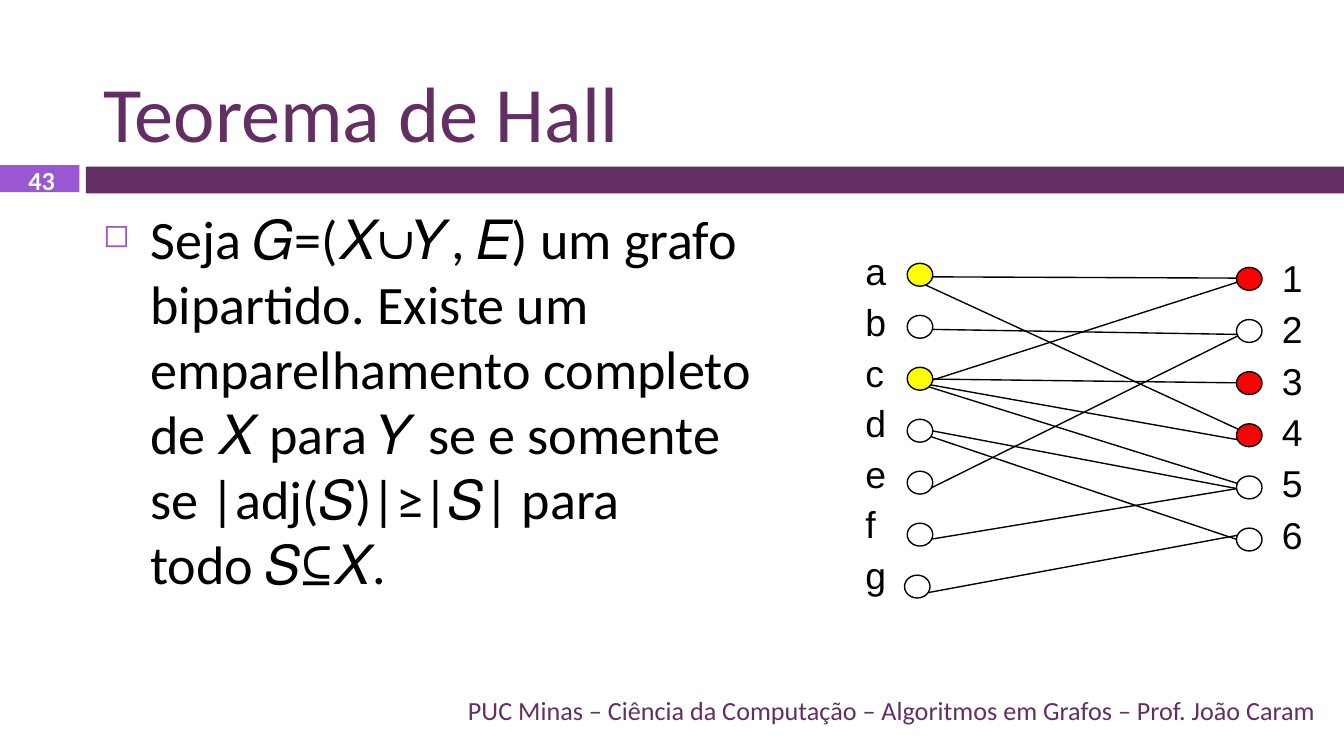
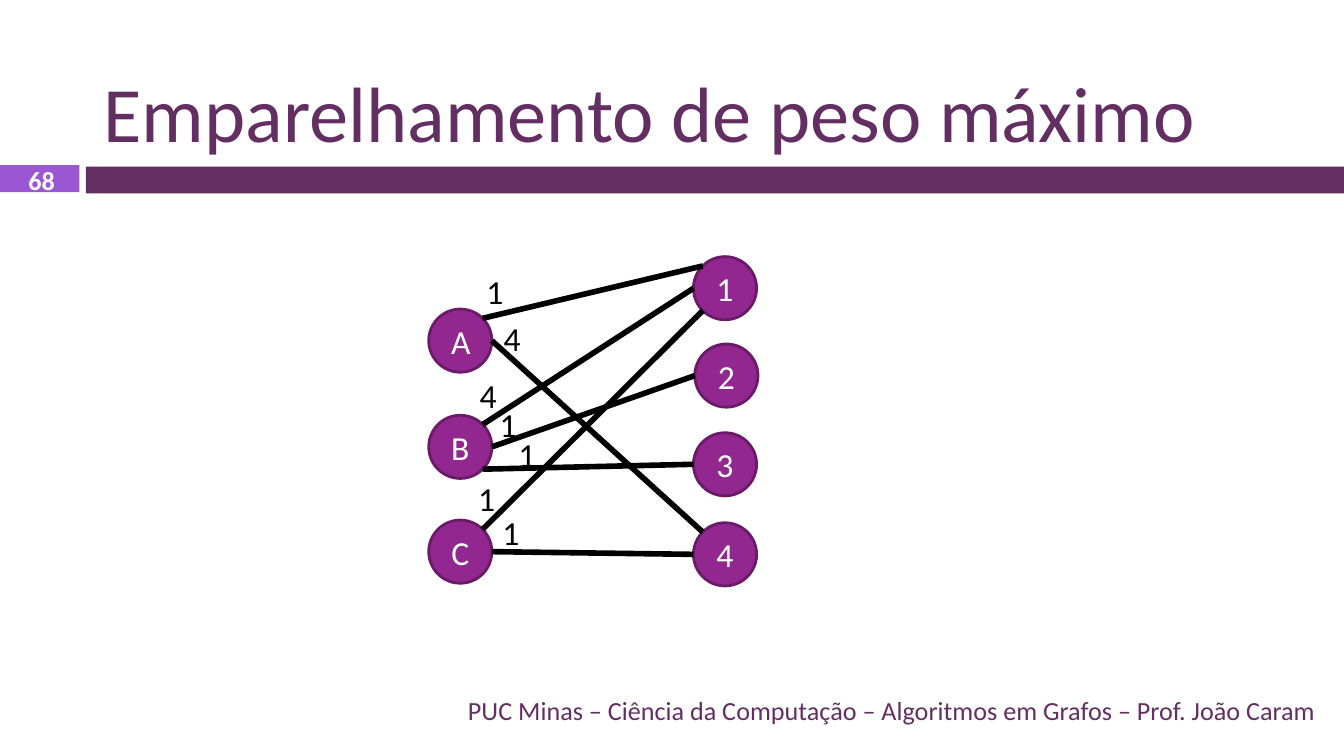
import math

import pptx
import pptx.dml.color
import pptx.enum.shapes
import pptx.enum.text
import pptx.oxml
import pptx.oxml.ns
import pptx.util

WIDTH = 10
HEIGHT = WIDTH * 9 / 16
MARGIN, CONTENT_WIDTH = 0.67, 9.22
PLUM, VIOLET, PURPLE, DARK_PURPLE = "632E62", "9B57D3", "92278F", "6A1A68"
BLACK, WHITE, YELLOW, RED = "000000", "FFFFFF", "FFFF00", "FF0000"

FOOTER = "PUC Minas – Ciência da Computação – Algoritmos em Grafos – Prof. João Caram"
THEOREM = (
    "Seja 𝐺=(𝑋∪𝑌, 𝐸) um grafo bipartido. Existe um emparelhamento completo "
    "de 𝑋 para 𝑌 se e somente se |adj(𝑆)|≥|𝑆| para todo 𝑆⊆𝑋."
)

# Each side of the bipartite graph: labels, highlighted labels, highlight colour,
# label left, first and last label top, node left, first and last node top
HALL_SIDES = [
    ("abcdefg", "ac", YELLOW, 6.34, (1.80, 4.06), 6.75, (1.96, 4.28)),
    ("123456", "134", RED, 9.44, (1.85, 3.76), 9.20, (1.99, 3.93)),
]
HALL_NODE_SHIFTS = {"g": -0.02}
HALL_NODE_SIZE = (0.19, 0.17)
HALL_EDGES = [
    ((6.90, 2.06), (9.31, 2.07)),
    ((6.82, 2.09), (9.27, 3.22)),
    ((6.88, 2.45), (9.30, 2.49)),
    ((6.84, 2.86), (9.30, 2.07)),
    ((6.85, 2.82), (9.33, 2.85)),
    ((6.79, 2.84), (9.31, 3.29)),
    ((6.82, 2.85), (9.28, 3.62)),
    ((6.80, 3.18), (9.28, 3.65)),
    ((6.84, 3.22), (9.31, 4.05)),
    ((6.87, 3.66), (9.27, 2.47)),
    ((6.82, 4.03), (9.30, 3.62)),
    ((6.85, 4.42), (9.28, 3.97)),
]

WEIGHTED_NODE_SIZE = 0.47
WEIGHTED_NODES = {
    "A": (3.19, 2.30), "B": (3.19, 3.09), "C": (3.19, 3.87),
    "4": (5.16, 3.89), "3": (5.16, 3.22), "1": (5.16, 1.91), "2": (5.17, 2.56),
}
# Start node and angle, end node and angle (degrees, clockwise from the right),
# weight, and place of the weight's box
WEIGHTED_EDGES = [
    ("A", -45, "1", 225, "1", (3.52, 1.97)),
    ("A", 0, "4", 225, "4", (3.65, 2.32)),
    ("B", -45, "1", 180, "4", (3.47, 2.74)),
    ("B", 0, "2", 180, "1", (3.62, 2.96)),
    ("B", 45, "3", 180, "1", (3.76, 3.18)),
    ("C", -45, "1", 135, "1", (3.46, 3.51)),
    ("C", 0, "4", 180, "1", (3.64, 3.76)),
]


def inches(*lengths):
    return [pptx.util.Inches(length) for length in lengths]


def color(value):
    return pptx.dml.color.RGBColor.from_string(value)


def write(shape, text, size, text_color=BLACK, font="Calibri", bold=False,
          align="LEFT", anchor="TOP", wrap=True):
    frame = shape.text_frame
    frame.text = text
    frame.word_wrap = wrap
    fit = pptx.enum.text.MSO_AUTO_SIZE
    frame.auto_size = fit.NONE if wrap else fit.SHAPE_TO_FIT_TEXT
    frame.vertical_anchor = pptx.enum.text.MSO_ANCHOR[anchor]
    paragraph = frame.paragraphs[0]
    paragraph.alignment = pptx.enum.text.PP_ALIGN[align]
    for run in paragraph.runs:
        run.font.name = font
        run.font.size = pptx.util.Pt(size)
        run.font.bold = bold
        run.font.color.rgb = color(text_color)
    return paragraph


def add_text(slide, box, text, size, **style):
    return write(slide.shapes.add_textbox(*inches(*box)), text, size, **style)


def add_filled(slide, kind, box, fill, line=None, line_width=0.75):
    shape = slide.shapes.add_shape(pptx.enum.shapes.MSO_SHAPE[kind], *inches(*box))
    shape.shadow.inherit = False
    shape.fill.solid()
    shape.fill.fore_color.rgb = color(fill)
    if line:
        shape.line.color.rgb = color(line)
        shape.line.width = pptx.util.Pt(line_width)
    else:
        shape.line.fill.background()
    return shape


def add_edge(slide, start, end, width):
    edge = slide.shapes.add_connector(
        pptx.enum.shapes.MSO_CONNECTOR.STRAIGHT, *inches(*start, *end))
    edge.line.color.rgb = color(BLACK)
    edge.line.width = pptx.util.Pt(width)
    properties = edge._element.spPr
    properties.append(properties.makeelement(pptx.oxml.ns.qn("a:effectLst"), {}))


def add_bullet(paragraph):
    properties = paragraph._p.get_or_add_pPr()
    indent = pptx.util.Inches(0.35)
    properties.set("marL", str(indent))
    properties.set("indent", str(-indent))
    namespace = pptx.oxml.ns.nsdecls("a")
    for xml in (
        f'<a:buClr {namespace}><a:srgbClr val="{VIOLET}"/></a:buClr>',
        f'<a:buSzPct {namespace} val="60000"/>',
        f'<a:buChar {namespace} char="◻"/>',
    ):
        properties.append(pptx.oxml.parse_xml(xml))


def add_slide(presentation, title_text, number):
    """Add a slide with the shared title, bands, number and footer."""
    slide = presentation.slides.add_slide(presentation.slide_layouts[5])
    add_filled(slide, "RECTANGLE", (0.64, 1.24, WIDTH - 0.64, 0.2), PLUM)
    add_filled(slide, "RECTANGLE", (0, 1.23, 0.59, 0.2), VIOLET)
    title = slide.shapes.title
    title.left, title.top, title.width, title.height = inches(
        MARGIN, 0.13, CONTENT_WIDTH, 1.1)
    write(title, title_text, 42, text_color=PLUM, anchor="BOTTOM")
    add_text(slide, (0.02, 1.24, 0.58, 0.2), str(number), 14, text_color=WHITE,
             bold=True, align="CENTER", anchor="MIDDLE")
    add_text(slide, (MARGIN, 5.13, CONTENT_WIDTH, 0.3), FOOTER, 14,
             text_color=PLUM, align="RIGHT", anchor="MIDDLE")
    return slide


def spread(ends, count):
    """Return count evenly spaced values from the first end to the last."""
    first, last = ends
    return [first + (last - first) * step / (count - 1) for step in range(count)]


def add_hall_graph(slide):
    for start, end in HALL_EDGES:
        add_edge(slide, start, end, 0.75)
    for labels, marked, mark, label_left, label_ends, node_left, node_ends in HALL_SIDES:
        label_tops = spread(label_ends, len(labels))
        node_tops = spread(node_ends, len(labels))
        for label, label_top, node_top in zip(labels, label_tops, node_tops):
            add_text(slide, (label_left, label_top, 0.35, 0.44), label, 20,
                     font="Arial", wrap=False)
            left = node_left + HALL_NODE_SHIFTS.get(label, 0)
            add_filled(slide, "OVAL", (left, node_top, *HALL_NODE_SIZE),
                       mark if label in marked else WHITE, BLACK)


def rim_point(node, degrees):
    """Return the point on a weighted node's rim at the given angle."""
    left, top = WEIGHTED_NODES[node]
    radius, angle = WEIGHTED_NODE_SIZE / 2, math.radians(degrees)
    return (left + radius * (1 + math.cos(angle)), top + radius * (1 + math.sin(angle)))


def add_weighted_graph(slide):
    for label, place in WEIGHTED_NODES.items():
        node = add_filled(slide, "OVAL", (*place, WEIGHTED_NODE_SIZE, WEIGHTED_NODE_SIZE),
                          PURPLE, DARK_PURPLE, 1.5)
        write(node, label, 18, text_color=WHITE, align="CENTER", anchor="MIDDLE")
    for start, start_angle, end, end_angle, weight, place in WEIGHTED_EDGES:
        add_edge(slide, rim_point(start, start_angle), rim_point(end, end_angle), 3)
        add_text(slide, (*place, 0.34, 0.4), weight, 18, wrap=False)


def main():
    presentation = pptx.Presentation()
    presentation.slide_width, presentation.slide_height = inches(WIDTH, HEIGHT)

    hall = add_slide(presentation, "Teorema de Hall", 43)
    add_bullet(add_text(hall, (MARGIN, 1.48, 5.04, 3.58), THEOREM, 29))
    add_hall_graph(hall)

    weighted = add_slide(presentation, "Emparelhamento de peso máximo", 68)
    add_weighted_graph(weighted)

    presentation.save("out.pptx")


if __name__ == "__main__":
    main()
